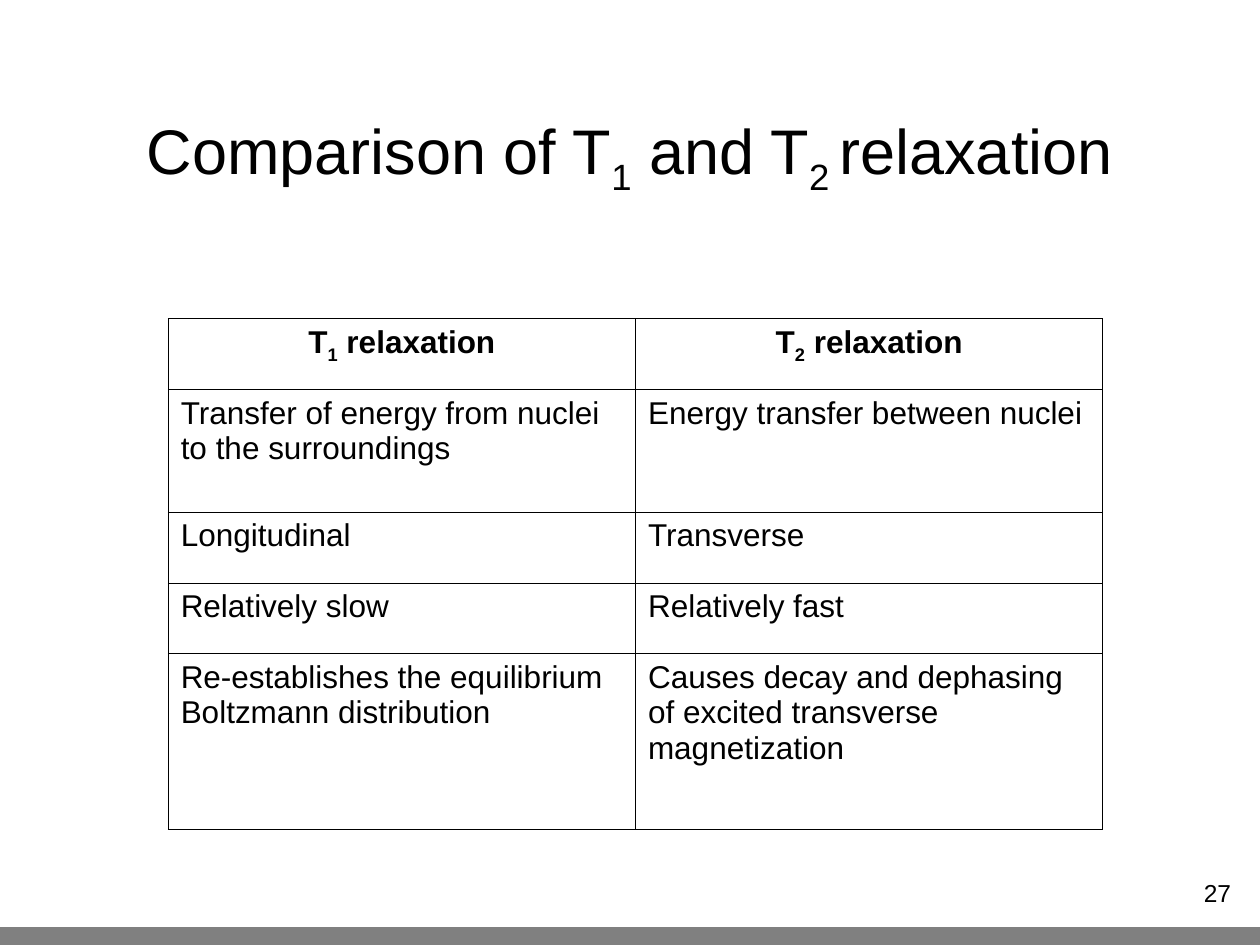
import dataclasses

import pptx
import pptx.dml.color
import pptx.enum.shapes
import pptx.enum.text
import pptx.oxml.ns
import pptx.util
from lxml import etree

Cm = pptx.util.Cm
Pt = pptx.util.Pt
ALIGN = pptx.enum.text.PP_ALIGN
ANCHOR = pptx.enum.text.MSO_ANCHOR
FONT = "Arial"
BLACK, WHITE, GREY = "000000", "FFFFFF", "808080"


@dataclasses.dataclass(frozen=True)
class ComparisonRow:
    """One table row; text between bars is set as subscript."""
    t1: str
    t2: str
    height: float
    header: bool = False


ROWS = [
    ComparisonRow("T|1| relaxation", "T|2| relaxation", 1.43, header=True),
    ComparisonRow("Transfer of energy from nuclei to the surroundings",
                  "Energy transfer between nuclei", 2.47),
    ComparisonRow("Longitudinal", "Transverse", 1.43),
    ComparisonRow("Relatively slow", "Relatively fast", 1.43),
    ComparisonRow("Re-establishes the equilibrium Boltzmann distribution",
                  "Causes decay and dephasing of excited transverse magnetization", 3.54),
]


def color(hex_value: str) -> pptx.dml.color.RGBColor:
    return pptx.dml.color.RGBColor.from_string(hex_value)


def write(frame, text: str, size: float, align, bold: bool = False) -> None:
    """Fill a text frame with one paragraph, subscripts included."""
    paragraph = frame.paragraphs[0]
    paragraph.alignment = align
    for position, piece in enumerate(text.split("|")):
        run = paragraph.add_run()
        run.text = piece
        run.font.name = FONT
        run.font.size = Pt(size)
        run.font.bold = bold
        run.font.color.rgb = color(BLACK)
        if position % 2:
            run.font._element.set("baseline", "-25000")


def set_frame(frame, anchor) -> None:
    frame.word_wrap = True
    frame.auto_size = pptx.enum.text.MSO_AUTO_SIZE.NONE
    frame.vertical_anchor = anchor
    frame.margin_left = frame.margin_right = Cm(0.25)
    frame.margin_top = frame.margin_bottom = Cm(0.25)


def set_borders(cell, hex_value: str, width: float) -> None:
    properties = cell._tc.get_or_add_tcPr()
    qn = pptx.oxml.ns.qn
    for index, side in enumerate(("lnL", "lnR", "lnT", "lnB")):
        line = etree.Element(qn(f"a:{side}"), w=str(Pt(width)))
        fill = etree.SubElement(line, qn("a:solidFill"))
        etree.SubElement(fill, qn("a:srgbClr"), val=hex_value)
        properties.insert(index, line)


def add_comparison(slide, rows: list[ComparisonRow]) -> None:
    height = sum(row.height for row in rows)
    table = slide.shapes.add_table(
        len(rows), 2, Cm(3.39), Cm(6.42), Cm(18.84), Cm(height)).table
    table.first_row = table.horz_banding = False
    for row_index, row in enumerate(rows):
        table.rows[row_index].height = Cm(row.height)
        for column, text in enumerate((row.t1, row.t2)):
            cell = table.cell(row_index, column)
            cell.fill.solid()
            cell.fill.fore_color.rgb = color(WHITE)
            set_borders(cell, BLACK, 0.45)
            write(cell.text_frame, text, 18,
                  ALIGN.CENTER if row.header else ALIGN.LEFT, row.header)


def main() -> None:
    presentation = pptx.Presentation()
    presentation.slide_width, presentation.slide_height = Cm(25.4), Cm(19.05)
    slide = presentation.slides.add_slide(presentation.slide_layouts[5])

    # Bar along the bottom edge
    bar = slide.shapes.add_shape(pptx.enum.shapes.MSO_SHAPE.RECTANGLE,
                                 0, Cm(18.69), Cm(25.4), Cm(0.36))
    bar.shadow.inherit = False
    bar.fill.solid()
    bar.fill.fore_color.rgb = color(GREY)
    bar.line.fill.background()

    # Title
    title = slide.shapes.title
    title.left, title.top = Cm(0.86), Cm(1.17)
    title.width, title.height = Cm(23.67), Cm(3.07)
    set_frame(title.text_frame, ANCHOR.BOTTOM)
    write(title.text_frame, "Comparison of T|1| and T|2 |relaxation", 36, ALIGN.CENTER)

    # Comparison table
    add_comparison(slide, ROWS)

    # Page number
    page_number = slide.shapes.add_textbox(Cm(23.55), Cm(17.27), Cm(1.52), Cm(1.45))
    set_frame(page_number.text_frame, ANCHOR.MIDDLE)
    write(page_number.text_frame, "27", 14, ALIGN.RIGHT)

    presentation.save("out.pptx")


if __name__ == "__main__":
    main()
